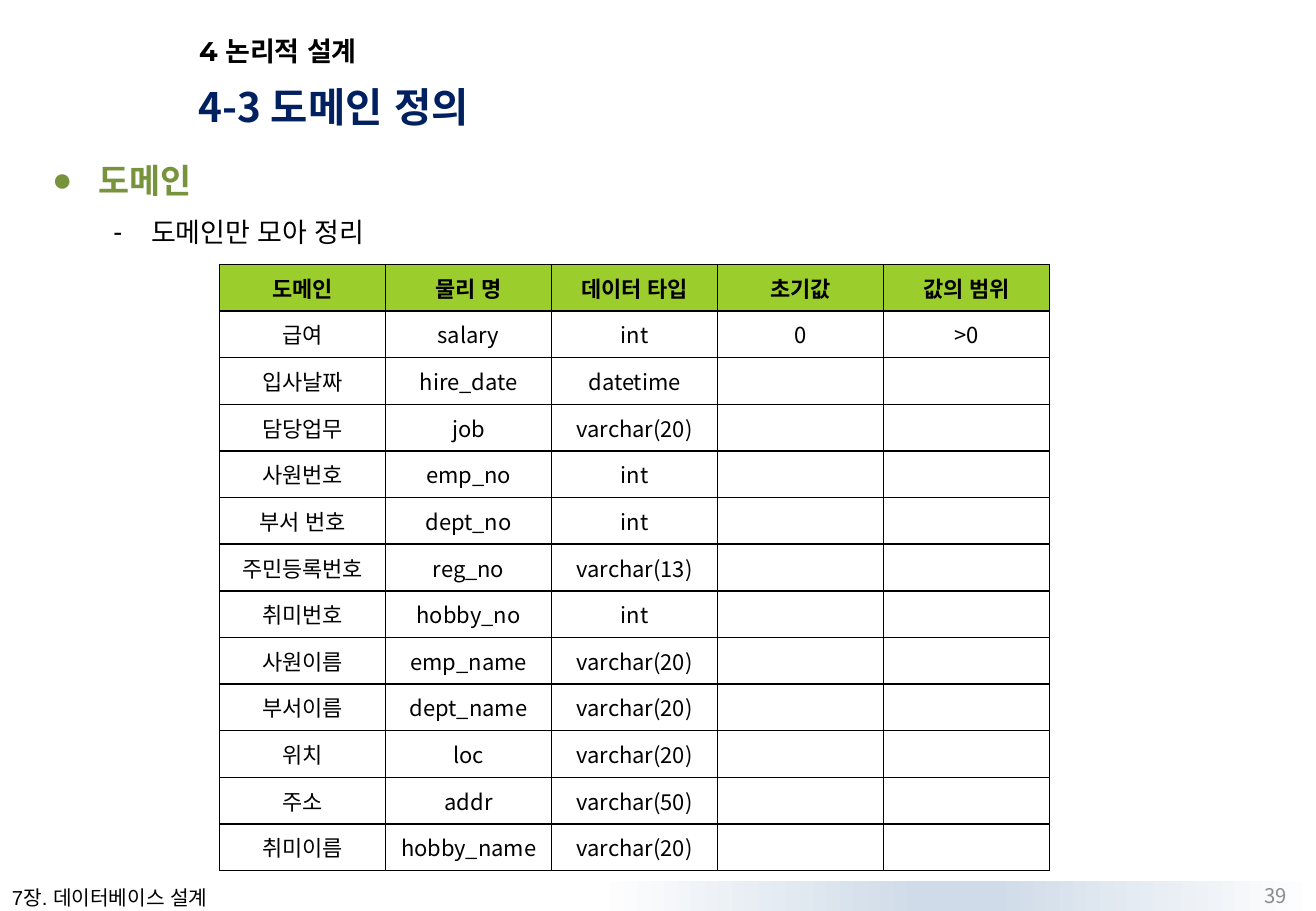
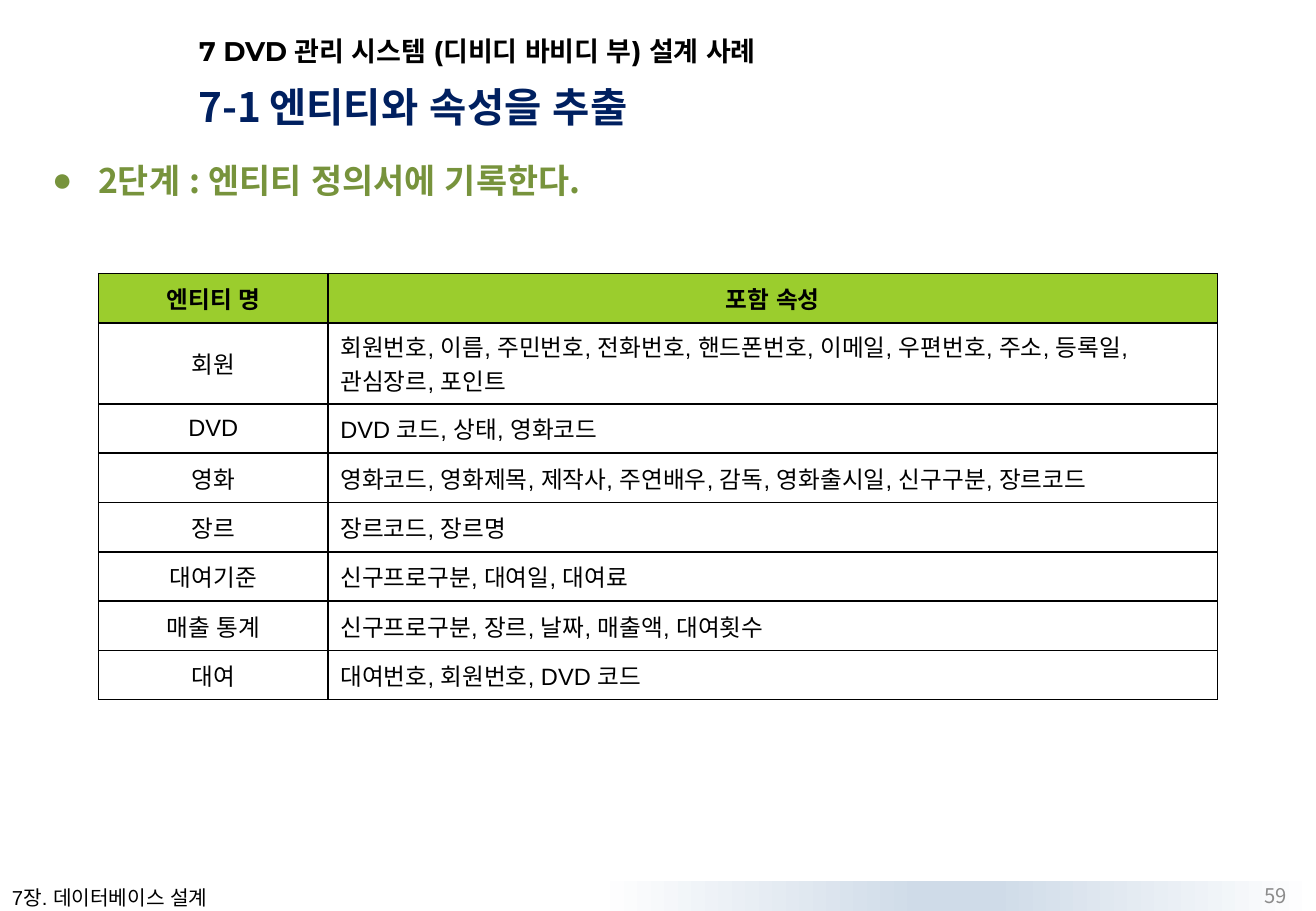
from dataclasses import dataclass
from typing import Any

from lxml.etree import SubElement
from pptx import Presentation
from pptx.dml.color import RGBColor
from pptx.enum.lang import MSO_LANGUAGE_ID
from pptx.enum.shapes import MSO_SHAPE
from pptx.enum.text import MSO_ANCHOR, MSO_AUTO_SIZE, PP_ALIGN
from pptx.oxml import parse_xml
from pptx.oxml.ns import nsdecls, qn
from pptx.slide import Slide
from pptx.util import Cm, Pt

KOREAN_FONT = "Noto Sans CJK KR"
BLACK = "000000"
WHITE = "FFFFFF"
NAVY = "002060"
GREEN = "77933C"
GREY = "8C8C8C"
HEADER_GREEN = "9BCD2D"
BAND_BLUE = "CFDBE8"
CHAPTER = "7장. 데이터베이스 설계"


@dataclass(frozen=True)
class Style:
    size: float
    color: str = BLACK
    name: str = KOREAN_FONT
    bold: bool = False


@dataclass(frozen=True)
class Area:
    left: float
    top: float
    width: float
    height: float

    def lengths(self) -> tuple[Cm, Cm, Cm, Cm]:
        return Cm(self.left), Cm(self.top), Cm(self.width), Cm(self.height)


@dataclass(frozen=True)
class Bullet:
    mark: str
    margin: float
    hanging: float
    style: Style


@dataclass(frozen=True)
class Grid:
    left: float
    top: float
    columns: tuple[float, ...]
    height: float
    style: Style
    rows: list[tuple[str, ...]]
    alignments: tuple[PP_ALIGN, ...]
    margin: float | None = None


@dataclass(frozen=True)
class Page:
    section: str
    heading: list[tuple[str, Style]]
    bullets: list[tuple[Bullet, str]]
    grid: Grid
    number: str


SECTION = Style(16, name="Montserrat", bold=True)
HEADING = Style(24, NAVY, bold=True)
HEADING_GAP = Style(20, NAVY, bold=True)
FOOTER = Style(12, name="Arial")
NUMBER = Style(12, GREY)
TOPIC = Bullet("●", 0.96, 0.96, Style(20, GREEN, bold=True))
DETAIL = Bullet("-", 2.07, 0.79, Style(16))

TITLE_AREA = Area(3.91, 0.64, 17.02, 0.84)
HEADING_AREA = Area(3.91, 1.68, 19.58, 1.17)
BODY_AREA = Area(0.84, 2.97, 26.24, 15.04)
PANEL_AREA = Area(0.84, 2.74, 26.67, 15.68)
BAND_AREA = Area(12.48, 18.42, 15.03, 0.63)
FOOTER_AREA = Area(0, 18.39, 5, 0.76)
NUMBER_AREA = Area(20.73, 18.4, 6.43, 0.64)


def rgb(value: str) -> RGBColor:
    return RGBColor.from_string(value)


def set_attributes(target: Any, values: dict[str, Any]) -> None:
    for name, value in values.items():
        setattr(target, name, value)


def write(para: Any, text: str, style: Style,
          align: PP_ALIGN = PP_ALIGN.LEFT) -> None:
    para.alignment = align
    span = para.add_run()
    span.text = text
    set_attributes(span.font, {
        "name": style.name,
        "size": Pt(style.size),
        "bold": style.bold,
        "language_id": MSO_LANGUAGE_ID.KOREAN,
    })
    span.font.color.rgb = rgb(style.color)
    SubElement(span.font._element, qn("a:ea"), typeface=KOREAN_FONT)


def set_frame(box: Any, anchor: MSO_ANCHOR, wrap: bool = True) -> None:
    set_attributes(box.text_frame, {
        "word_wrap": wrap,
        "auto_size": MSO_AUTO_SIZE.NONE,
        "vertical_anchor": anchor,
    })


def add_text(page: Slide, area: Area, spans: list[tuple[str, Style]],
             anchor: MSO_ANCHOR = MSO_ANCHOR.TOP,
             align: PP_ALIGN = PP_ALIGN.LEFT, wrap: bool = True) -> None:
    box = page.shapes.add_textbox(*area.lengths())
    set_frame(box, anchor, wrap)
    for text, style in spans:
        write(box.text_frame.paragraphs[0], text, style, align)


def add_title(page: Slide, text: str) -> None:
    title = page.shapes.title
    set_attributes(title, dict(zip(
        ("left", "top", "width", "height"), TITLE_AREA.lengths())))
    set_frame(title, MSO_ANCHOR.MIDDLE)
    write(title.text_frame.paragraphs[0], text, SECTION)


def add_rectangle(page: Slide, area: Area) -> Any:
    shape = page.shapes.add_shape(MSO_SHAPE.RECTANGLE, *area.lengths())
    shape.shadow.inherit = False
    shape.line.fill.background()
    return shape


def add_background(page: Slide) -> None:
    band = add_rectangle(page, BAND_AREA)
    band.fill.gradient()
    band.fill.gradient_angle = 0
    stops = band._element.spPr.find(qn("a:gradFill")).find(qn("a:gsLst"))
    for stop in list(stops):
        stops.remove(stop)
    for position, color in ((0, WHITE), (45, BAND_BLUE),
                            (55, BAND_BLUE), (100, WHITE)):
        stop = SubElement(stops, qn("a:gs"), pos=str(position * 1000))
        SubElement(stop, qn("a:srgbClr"), val=color)
    panel = add_rectangle(page, PANEL_AREA)
    panel.fill.solid()
    panel.fill.fore_color.rgb = rgb(WHITE)


def add_bullets(page: Slide, bullets: list[tuple[Bullet, str]]) -> None:
    box = page.shapes.add_textbox(*BODY_AREA.lengths())
    set_frame(box, MSO_ANCHOR.TOP)
    frame = box.text_frame
    for index, (bullet, text) in enumerate(bullets):
        para = frame.add_paragraph() if index else frame.paragraphs[0]
        properties = para._p.get_or_add_pPr()
        properties.set("marL", str(Cm(bullet.margin)))
        properties.set("indent", str(-Cm(bullet.hanging)))
        SubElement(properties, qn("a:buFont"), typeface="Arial")
        SubElement(properties, qn("a:buChar"), char=bullet.mark)
        para.line_spacing = 1.3
        if index:
            para.space_before = Pt(bullet.style.size * 0.2)
        write(para, text, bullet.style)


def add_borders(cell: Any) -> None:
    properties = cell._tc.get_or_add_tcPr()
    for side in "LRTB":
        properties.append(parse_xml(
            f'<a:ln{side} {nsdecls("a")} w="{Pt(1)}"><a:solidFill>'
            f'<a:srgbClr val="{BLACK}"/></a:solidFill></a:ln{side}>'))


def add_grid(page: Slide, grid: Grid) -> None:
    area = Area(grid.left, grid.top, sum(grid.columns), grid.height)
    table = page.shapes.add_table(
        len(grid.rows), len(grid.columns), *area.lengths()).table
    set_attributes(table, {"first_row": False, "horz_banding": False})
    for column, width in zip(table.columns, grid.columns):
        column.width = Cm(width)
    header = Style(grid.style.size, name=grid.style.name, bold=True)
    for row_index, texts in enumerate(grid.rows):
        table.rows[row_index].height = Cm(grid.height / len(grid.rows))
        for column_index, align in enumerate(grid.alignments):
            cell = table.cell(row_index, column_index)
            add_borders(cell)
            cell.vertical_anchor = MSO_ANCHOR.MIDDLE
            if grid.margin is not None:
                set_attributes(cell, {
                    f"margin_{side}": Cm(grid.margin)
                    for side in ("left", "right", "top", "bottom")})
            if row_index:
                cell.fill.background()
            else:
                cell.fill.solid()
                cell.fill.fore_color.rgb = rgb(HEADER_GREEN)
            if column_index < len(texts):
                write(cell.text_frame.paragraphs[0], texts[column_index],
                      grid.style if row_index else header,
                      align if row_index else PP_ALIGN.CENTER)


def add_page(deck: Any, content: Page) -> None:
    page = deck.slides.add_slide(deck.slide_layouts[5])
    add_background(page)
    add_text(page, FOOTER_AREA, [(CHAPTER, FOOTER)], wrap=False)
    add_bullets(page, content.bullets)
    add_title(page, content.section)
    add_text(page, NUMBER_AREA, [(content.number, NUMBER)],
             MSO_ANCHOR.MIDDLE, PP_ALIGN.RIGHT)
    add_text(page, HEADING_AREA, content.heading, MSO_ANCHOR.BOTTOM)
    add_grid(page, content.grid)


DOMAINS = Grid(4.59, 5.53, (3.47,) * 5, 12.68, Style(13), [
    ("도메인", "물리 명", "데이터 타입", "초기값", "값의 범위"),
    ("급여", "salary", "int", "0", ">0"),
    ("입사날짜", "hire_date", "datetime"),
    ("담당업무", "job", "varchar(20)"),
    ("사원번호", "emp_no", "int"),
    ("부서 번호", "dept_no", "int"),
    ("주민등록번호", "reg_no", "varchar(13)"),
    ("취미번호", "hobby_no", "int"),
    ("사원이름", "emp_name", "varchar(20)"),
    ("부서이름", "dept_name", "varchar(20)"),
    ("위치", "loc", "varchar(20)"),
    ("주소", "addr", "varchar(50)"),
    ("취미이름", "hobby_name", "varchar(20)"),
], (PP_ALIGN.CENTER,) * 5, 0.02)

ENTITIES = Grid(2.06, 5.72, (4.8, 18.59), 8.25, Style(14, name="Arial"), [
    ("엔티티 명", "포함 속성"),
    ("회원", "회원번호, 이름, 주민번호, 전화번호, 핸드폰번호, 이메일, "
     "우편번호, 주소, 등록일, 관심장르, 포인트"),
    ("DVD", "DVD 코드, 상태, 영화코드"),
    ("영화", "영화코드, 영화제목, 제작사, 주연배우, 감독, 영화출시일, "
     "신구구분, 장르코드"),
    ("장르", "장르코드, 장르명"),
    ("대여기준", "신구프로구분, 대여일, 대여료"),
    ("매출 통계", "신구프로구분, 장르, 날짜, 매출액, 대여횟수"),
    ("대여", "대여번호, 회원번호, DVD 코드"),
], (PP_ALIGN.CENTER, PP_ALIGN.LEFT))

PAGES = [
    Page("4 논리적 설계", [("4-3 도메인 정의", HEADING)],
         [(TOPIC, "도메인"), (DETAIL, "도메인만 모아 정리")], DOMAINS, "39"),
    Page("7 DVD 관리 시스템 (디비디 바비디 부) 설계 사례",
         [("7-1", HEADING), (" ", HEADING_GAP),
          ("엔티티와 속성을 추출", HEADING)],
         [(TOPIC, "2단계 : 엔티티 정의서에 기록한다.")], ENTITIES, "59"),
]


def main() -> None:
    deck = Presentation()
    set_attributes(deck, {"slide_width": Cm(27.51), "slide_height": Cm(19.05)})
    for content in PAGES:
        add_page(deck, content)
    deck.save("out.pptx")


if __name__ == "__main__":
    main()
